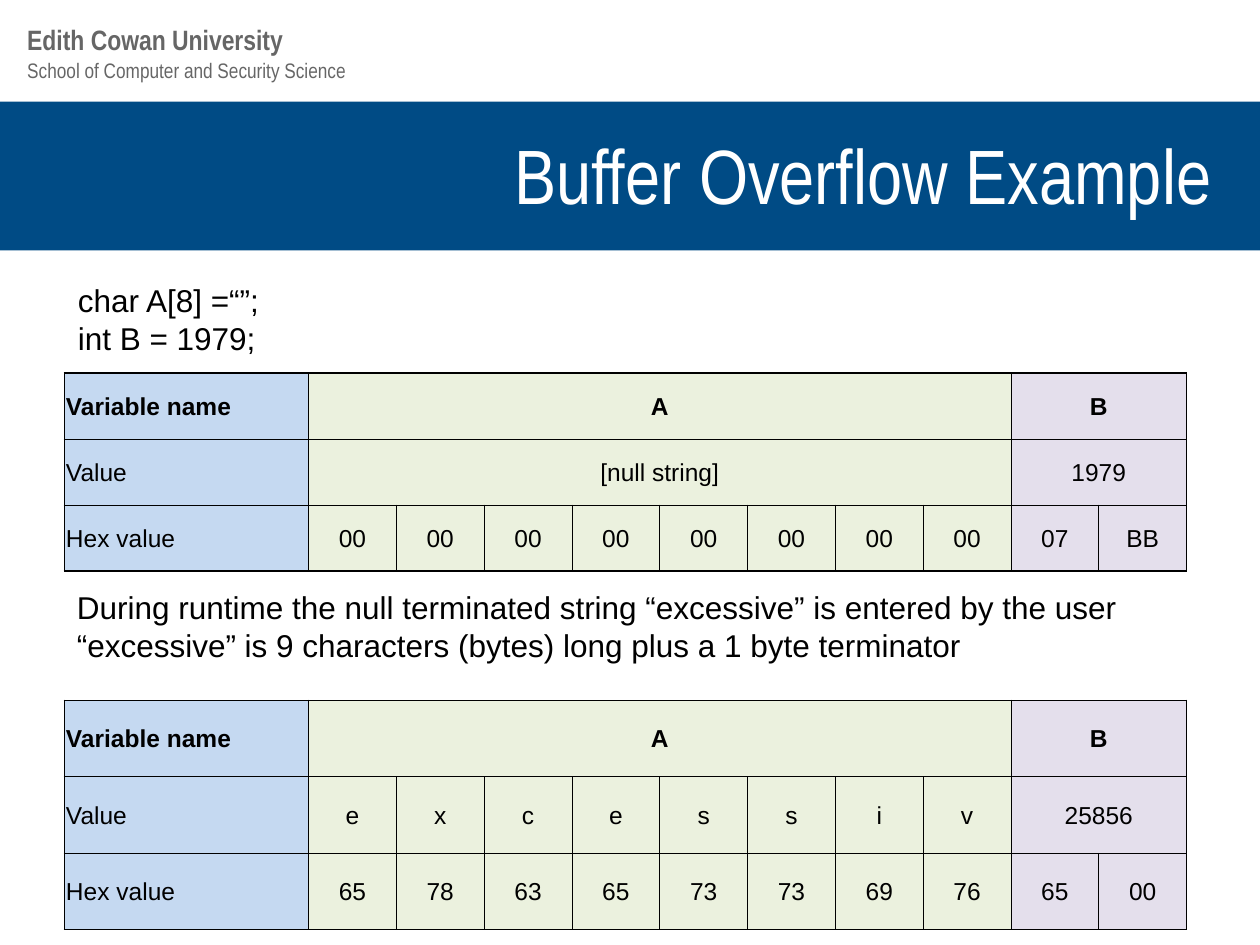
"""Build the buffer overflow example slide with two memory layout tables."""
from lxml.etree import SubElement
from pptx import Presentation
from pptx.dml.color import RGBColor
from pptx.enum.shapes import MSO_SHAPE as Shape
from pptx.enum.text import MSO_ANCHOR as Anchor, PP_ALIGN as Align
from pptx.oxml.ns import qn
from pptx.util import Cm, Pt

BLUE = RGBColor(0x00, 0x4B, 0x85)
GREY = RGBColor(0x66, 0x66, 0x66)
WHITE = RGBColor(0xFF, 0xFF, 0xFF)
BLACK = RGBColor(0x00, 0x00, 0x00)
LABEL_FILL = RGBColor(0xC5, 0xD9, 0xF1)
A_FILL = RGBColor(0xEB, 0xF1, 0xDE)
B_FILL = RGBColor(0xE4, 0xDF, 0xEC)

TITLE = "Buffer Overflow Example"
TEXTS = [
    ("School of Computer and Security Science", (0.3, 1.04, 14.96, 0.76), "Arial Narrow", 12, GREY, False),
    ("Edith Cowan University", (0.3, 0.33, 14.96, 0.94), "Arial Narrow", 16, GREY, True),
    ("During runtime the null terminated string “excessive” is entered by the user\n"
     "“excessive” is 9 characters (bytes) long plus a 1 byte terminator",
     (1.3, 11.73, 22.81, 1.8), "Arial", 18, BLACK, False),
    ("char A[8] =“”;\nint B = 1979;", (1.32, 5.54, 22.81, 1.8), "Arial", 18, BLACK, False),
]
A_BYTES, B_BYTES = 8, 2
HEADINGS = ("Variable name", ["A"], ["B"])
TABLES = [
    (7.52, 1.33, [
        HEADINGS,
        ("Value", ["[null string]"], ["1979"]),
        ("Hex value", ["00"] * A_BYTES, ["07", "BB"]),
    ]),
    (14.12, 1.54, [
        HEADINGS,
        ("Value", list("excessiv"), ["25856"]),
        ("Hex value", ["65", "78", "63", "65", "73", "73", "69", "76"], ["65", "00"]),
    ]),
]
TABLE_LEFT, LABEL_WIDTH, BYTE_WIDTH = 1.3, 4.92, 1.77


def format_text(frame, font_name, size, color, bold=False, align=Align.LEFT):
    for para in frame.paragraphs:
        para.alignment = align
        for span in para.runs:
            span.font.name = font_name
            span.font.size = Pt(size)
            span.font.bold = bold
            span.font.color.rgb = color


def add_text(page, text, place, font_name, size, color, bold):
    box = page.shapes.add_textbox(*map(Cm, place))
    box.text_frame.word_wrap = True
    box.text_frame.text = text
    format_text(box.text_frame, font_name, size, color, bold)


def set_borders(cell, outer_sides):
    properties = cell._tc.get_or_add_tcPr()
    for side in "LRTB":
        width = Pt(1 if side in outer_sides else 0.5)
        line = SubElement(properties, qn(f"a:ln{side}"), w=str(width))
        fill = SubElement(line, qn("a:solidFill"))
        SubElement(fill, qn("a:srgbClr"), val=str(BLACK))


def add_memory_table(page, top, row_height, rows):
    column_count = 1 + A_BYTES + B_BYTES
    width = LABEL_WIDTH + BYTE_WIDTH * (A_BYTES + B_BYTES)
    table = page.shapes.add_table(
        len(rows), column_count, Cm(TABLE_LEFT), Cm(top), Cm(width), Cm(row_height * len(rows))).table
    table.first_row = table.horz_banding = False
    for index, column in enumerate(table.columns):
        column.width = Cm(BYTE_WIDTH if index else LABEL_WIDTH)
    for index, (label, a_values, b_values) in enumerate(rows):
        table.rows[index].height = Cm(row_height)
        groups = [([label], 1, LABEL_FILL), (a_values, A_BYTES, A_FILL), (b_values, B_BYTES, B_FILL)]
        start = 0
        for values, columns, color in groups:
            span = columns // len(values)
            for value in values:
                end = start + span
                cell = table.cell(index, start)
                if span > 1:
                    cell.merge(table.cell(index, end - 1))
                cell.text_frame.text = value
                format_text(cell.text_frame, "Arial", 14, BLACK, index == 0,
                            Align.CENTER if start else Align.LEFT)
                edges = {"L": start == 0, "R": end == column_count,
                         "T": index == 0, "B": index == len(rows) - 1}
                outer_sides = [side for side, outer in edges.items() if outer]
                for column in range(start, end):
                    part = table.cell(index, column)
                    part.vertical_anchor = Anchor.MIDDLE
                    part.margin_left = part.margin_right = part.margin_top = Cm(0.03)
                    part.margin_bottom = 0
                    set_borders(part, outer_sides)
                    part.fill.solid()
                    part.fill.fore_color.rgb = color
                start = end


def main():
    deck = Presentation()
    deck.slide_width, deck.slide_height = Cm(25.4), Cm(19.05)
    page = deck.slides.add_slide(deck.slide_layouts[5])

    banner = page.shapes.add_shape(Shape.RECTANGLE, 0, Cm(2.05), deck.slide_width, Cm(3))
    banner.shadow.inherit = False
    banner.fill.solid()
    banner.fill.fore_color.rgb = BLUE
    banner.line.fill.background()

    title = page.shapes.title
    banner.element.addnext(title.element)
    title.left, title.top, title.width, title.height = map(Cm, (0.69, 2.11, 24, 2.77))
    title.text_frame.text = TITLE
    title.text_frame.vertical_anchor = Anchor.MIDDLE
    format_text(title.text_frame, "Arial Narrow", 44, WHITE, align=Align.RIGHT)

    for text in TEXTS:
        add_text(page, *text)
    for table in TABLES:
        add_memory_table(page, *table)
    deck.save("out.pptx")


if __name__ == "__main__":
    main()
